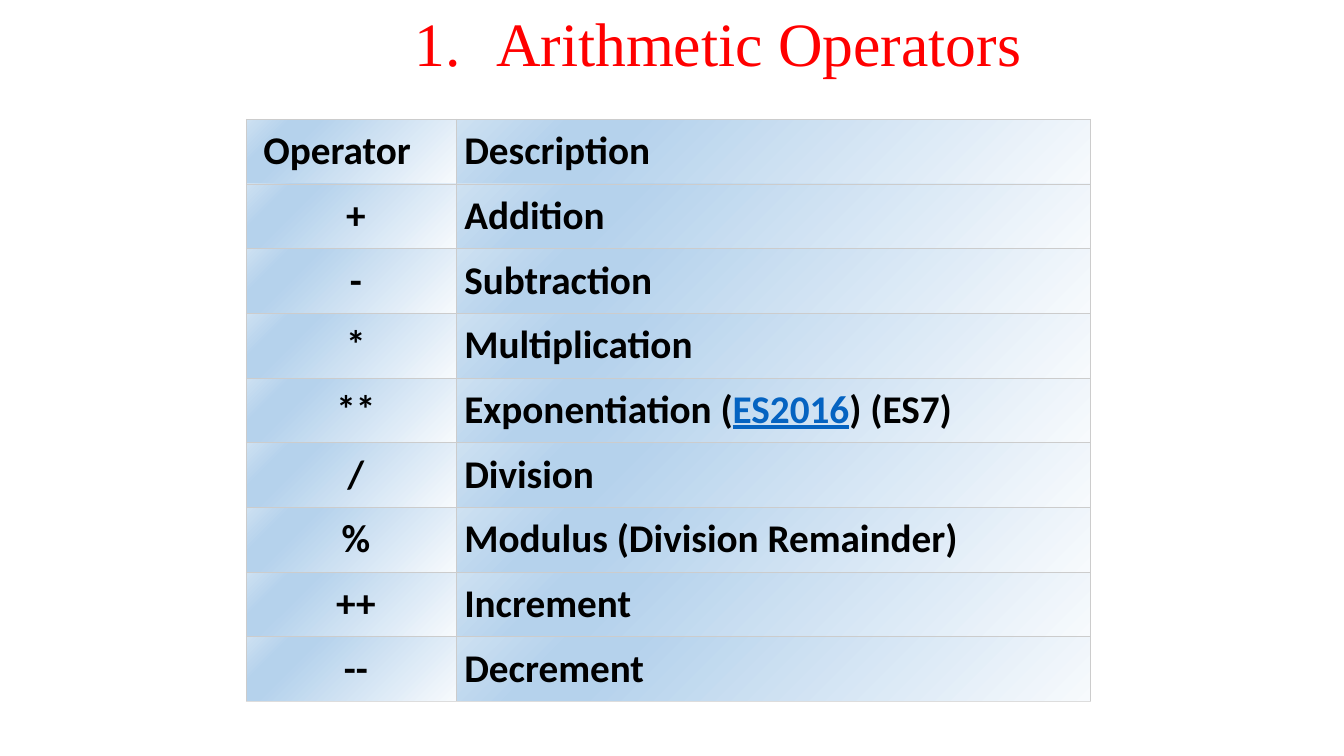
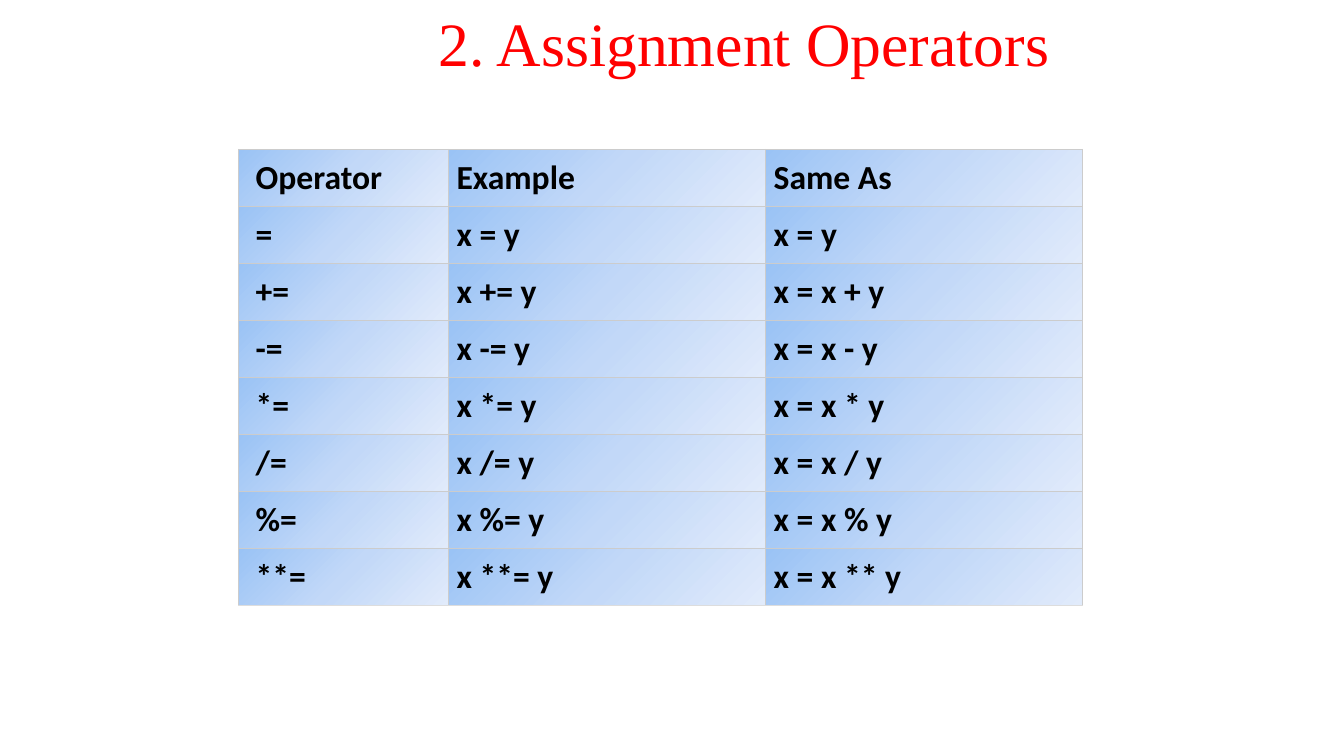
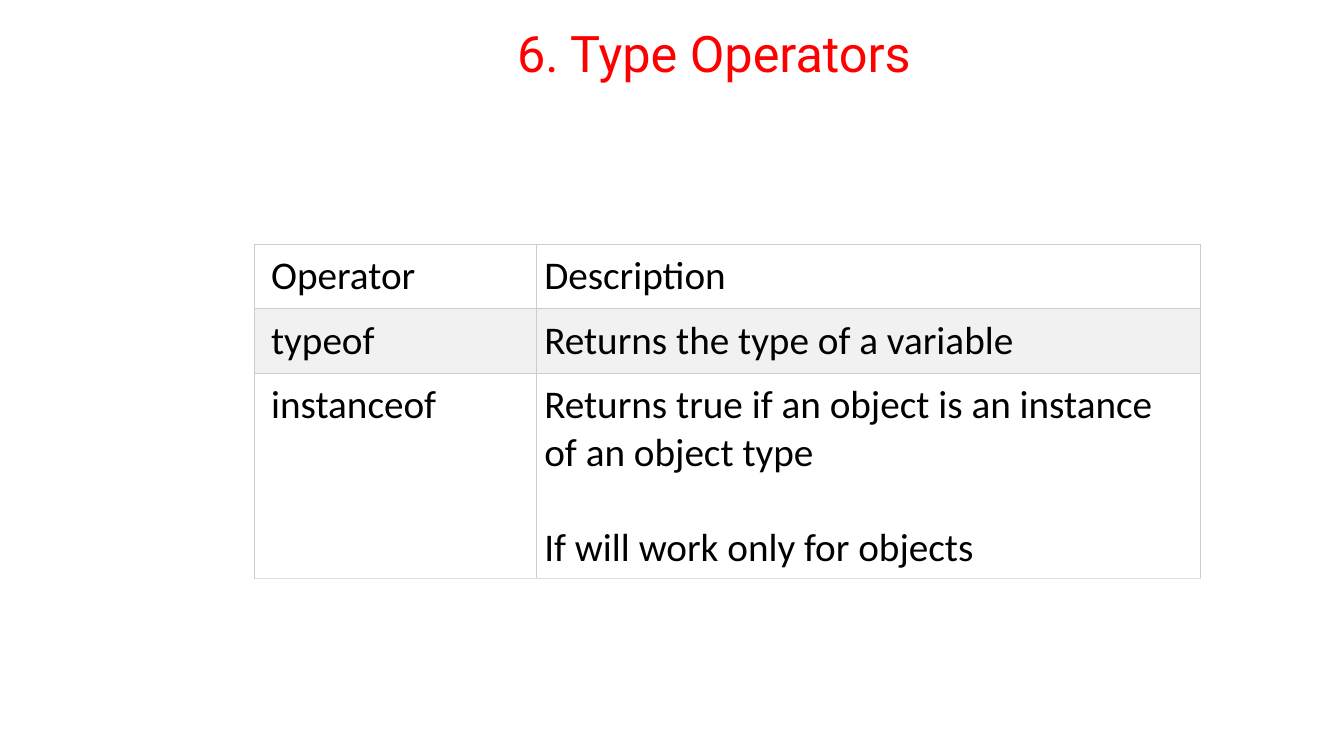
from lxml import etree
from pptx import Presentation, util as u
from pptx.dml.color import RGBColor
from pptx.enum import text
from pptx.oxml import ns


def paint(target, color):
    target.rgb = RGBColor.from_string(color)


def add_node(parent, tag, **attributes):
    node = etree.SubElement(parent, ns.qn(tag))
    for name, value in attributes.items():
        node.set(name, str(value))
    return node


class OperatorDeck:
    WIDTH, HEIGHT = u.Inches(13.33), u.Inches(7.5)
    TITLE, INK, LINK = "FF0000", "000000", "0563C1"
    BORDER, BOTTOM_BORDER = "CCCCCC", "DDDDDD"
    BODY_FONT = "Calibri"
    PAD, FIRST_PAD = u.Inches(0.08), u.Inches(0.17)

    def __init__(self):
        self.deck = Presentation()
        self.deck.slide_width, self.deck.slide_height = self.WIDTH, self.HEIGHT
        self.page = None

    def across(self, percent):
        return round(self.WIDTH * percent / 100)

    def down(self, percent):
        return round(self.HEIGHT * percent / 100)

    def add_page(self):
        self.page = self.deck.slides.add_slide(self.deck.slide_layouts[5])

    def style(self, para, font, size, color, bold=False):
        for span in para.runs:
            span.font.name, span.font.size, span.font.bold = font, u.Pt(size), bold
            paint(span.font.color, color)

    def title(self, words, left, top, width, height, font="Times New Roman", size=44,
              margin=0, hanging=0, numbered=False, wrap=True):
        box = self.page.shapes.title
        box.left, box.top = self.across(left), self.down(top)
        box.width, box.height = self.across(width), self.down(height)
        frame = box.text_frame
        frame.text = words
        frame.word_wrap = wrap
        frame.auto_size = text.MSO_AUTO_SIZE.SHAPE_TO_FIT_TEXT
        frame.vertical_anchor = text.MSO_ANCHOR.TOP
        para = frame.paragraphs[0]
        para.alignment = text.PP_ALIGN.LEFT
        self.style(para, font, size, self.TITLE)
        layout = para._p.get_or_add_pPr()
        layout.set("marL", str(self.across(margin)))
        layout.set("indent", str(-self.across(hanging)))
        if numbered:
            add_node(layout, "a:buFont", typeface="+mj-lt")
            add_node(layout, "a:buAutoNum", type="arabicPeriod")

    def borders(self, cell, last):
        for side in "LRTB":
            line = add_node(cell._tc.get_or_add_tcPr(), f"a:ln{side}", w=u.Pt(0.75))
            color = self.BOTTOM_BORDER if last and side == "B" else self.BORDER
            add_node(add_node(line, "a:solidFill"), "a:srgbClr", val=color)

    def gradient(self, cell, stops, angle):
        fill = add_node(cell._tc.get_or_add_tcPr(), "a:gradFill", rotWithShape=1)
        stop_list = add_node(fill, "a:gsLst")
        for position, color in stops:
            stop = add_node(stop_list, "a:gs", pos=position * 1000)
            add_node(stop, "a:srgbClr", val=color)
        add_node(fill, "a:lin", ang=angle * 60000, scaled=0)

    def cell_text(self, cell, words, size, bold):
        frame = cell.text_frame
        if isinstance(words, tuple):
            for part in words:
                frame.paragraphs[0].add_run().text = part
        else:
            frame.text = words
        for para in frame.paragraphs:
            self.style(para, self.BODY_FONT, size, self.INK, bold)
        for para in frame.paragraphs[1:]:
            para.space_before = u.Pt(34)
        if isinstance(words, tuple):
            link = frame.paragraphs[0].runs[1].font
            link.underline = True
            paint(link.color, self.LINK)

    def table(self, rows, left, top, columns, heights, size=28, bold=True,
              gradient=None, bands=None, centered=False):
        table = self.page.shapes.add_table(
            len(rows), len(columns), self.across(left), self.down(top),
            self.across(sum(columns)), self.down(sum(heights))).table
        table.first_row = table.horz_banding = False
        for column, width in zip(table.columns, columns):
            column.width = self.across(width)
        for r, (row, height) in enumerate(zip(rows, heights)):
            table.rows[r].height = self.down(height)
            for c, words in enumerate(row):
                cell = table.cell(r, c)
                cell.margin_left = self.PAD if c else self.FIRST_PAD
                cell.margin_right = cell.margin_top = cell.margin_bottom = self.PAD
                self.cell_text(cell, words, size, bold)
                if centered and r and not c:
                    cell.text_frame.paragraphs[0].alignment = text.PP_ALIGN.CENTER
                self.borders(cell, r == len(rows) - 1)
                if gradient:
                    self.gradient(cell, *gradient)
                else:
                    cell.fill.solid()
                    paint(cell.fill.fore_color, bands[r % len(bands)])


def main():
    show = OperatorDeck()

    show.add_page()
    show.title("Arithmetic Operators", 15.08, 0, 66.08, 11.2,
               margin=21.08, hanging=6.08, numbered=True)
    arithmetic = [
        ("Operator", "Description"),
        ("+", "Addition"),
        ("-", "Subtraction"),
        ("*", "Multiplication"),
        ("**", ("Exponentiation (", "ES2016", ") (ES7)")),
        ("/", "Division"),
        ("%", "Modulus (Division Remainder)"),
        ("++", "Increment"),
        ("--", "Decrement"),
    ]
    pale_blue = [(0, "F7FAFD"), (74, "B5D2EC"), (83, "B5D2EC"), (100, "CEE1F2")]
    show.table(arithmetic, 18.33, 15.78, [15.62, 47.18], [8.56] * len(arithmetic),
               gradient=(pale_blue, 225), centered=True)

    show.add_page()
    show.title("2. Assignment Operators", 16.88, 0, 64.2, 11.2, margin=15)
    assignment = [("Operator", "Example", "Same As"), ("=", "x = y", "x = y")]
    assignment += [(f"{sign}=", f"x {sign}= y", f"x = x {sign} y")
                   for sign in ("+", "-", "*", "/", "%", "**")]
    sky_blue = [(0, "9AC3F5"), (50, "C2D8F8"), (100, "E1EBFB")]
    show.table(assignment, 17.75, 19.75, [15.62, 23.6, 23.6], [7.55] * len(assignment),
               size=24, gradient=(sky_blue, 45))

    show.add_page()
    show.title("6. Type Operators", 37.73, 2.27, 30.98, 9.47,
               font="Roboto", size=36, wrap=False)
    types = [
        ("Operator", "Description"),
        ("typeof", "Returns the type of a variable"),
        ("instanceof", "Returns true if an object is an instance of an object type\n"
                       "If will work only for objects"),
    ]
    show.table(types, 18.9, 32.35, [21, 49.45], [8.5, 8.5, 27.1],
               bold=False, bands=["FFFFFF", "F1F1F1"])

    show.deck.save("out.pptx")


if __name__ == "__main__":
    main()
